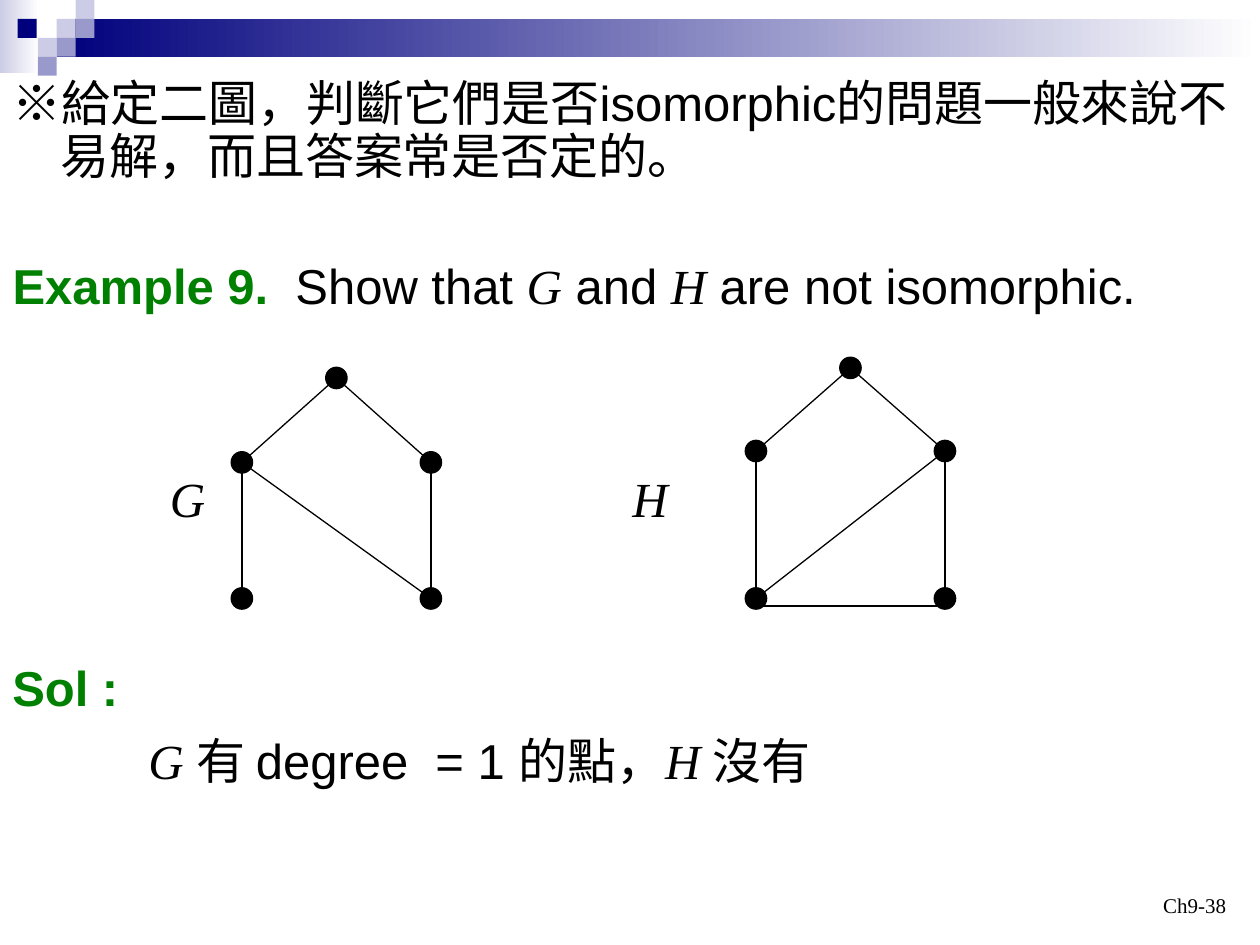
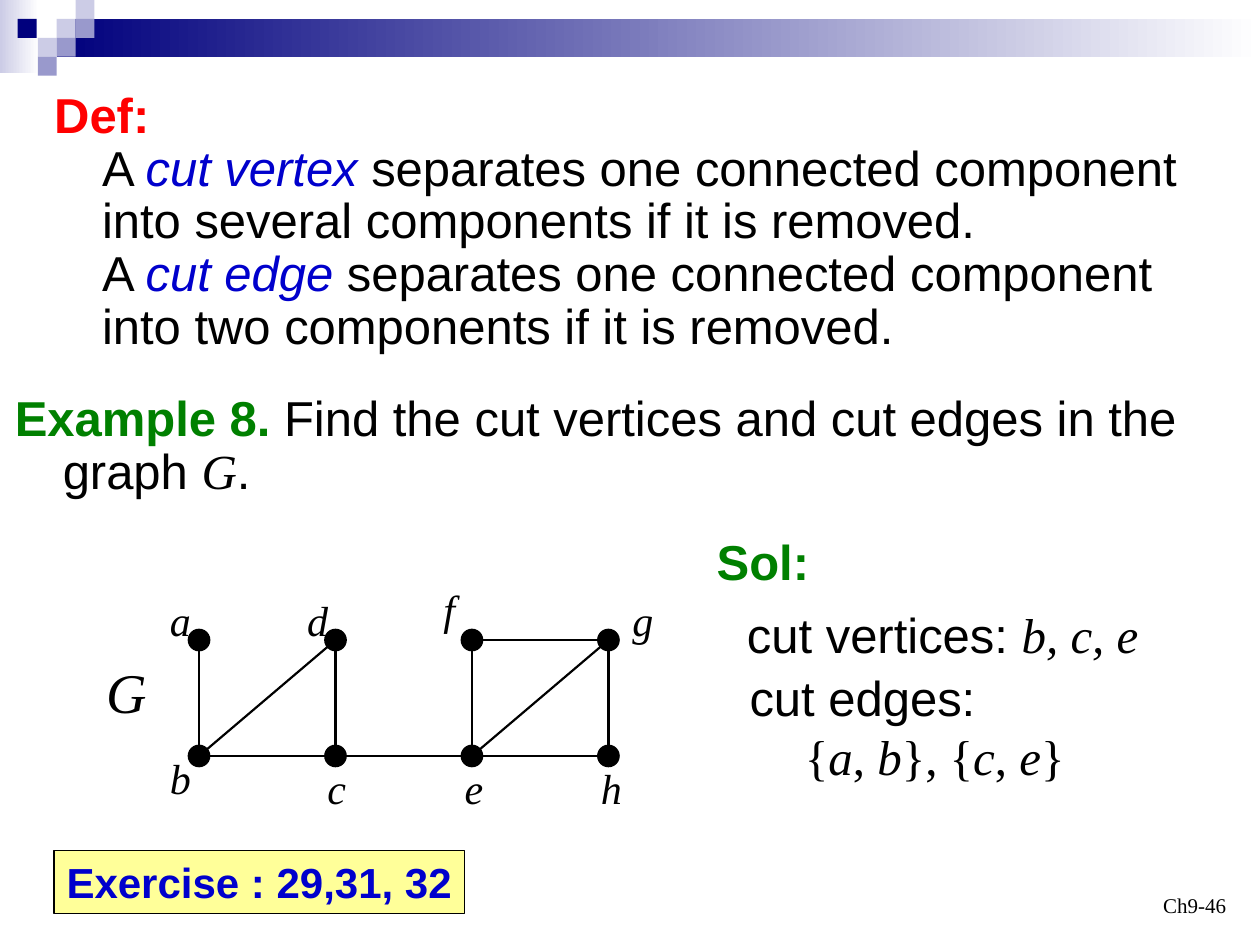
from typing import NamedTuple

from lxml import etree
from pptx import Presentation
from pptx.dml.color import RGBColor
from pptx.enum import shapes, text
from pptx.oxml import ns
from pptx.util import Inches, Pt

COLORS = {
    "black": "000000", "white": "FFFFFF", "navy": "00007D", "mist": "CCCCE6",
    "lilac": "9999CC", "green": "008000", "red": "FF0000", "blue": "0000CC",
    "yellow": "FFFF99",
}
SANS, SERIF = "Arial", "Times New Roman"
DOT = 0.17
TILE = 0.15
HANG = 0.38


class Span(NamedTuple):
    text: str
    color: str = "black"
    bold: bool = False
    italic: bool = False
    font: str = SANS
    size: float = 28


class Para(NamedTuple):
    spans: list[Span]
    margin: float = 0
    hanging: float = 0
    spacing: float = 1
    before: float = 0
    align: text.PP_ALIGN = text.PP_ALIGN.LEFT


class Vertex(NamedTuple):
    x: float
    y: float
    label_at: tuple[float, float] | None = None


class Edge(NamedTuple):
    start: str
    end: str
    drop: float = 0


class Tile(NamedTuple):
    x: float
    y: float
    color: str


TILES = [
    Tile(0.45, 0.15, "mist"), Tile(0.6, 0, "mist"), Tile(0.6, 0.15, "lilac"),
    Tile(0.3, 0.3, "mist"), Tile(0.14, 0.15, "navy"), Tile(0.45, 0.3, "lilac"),
    Tile(0.3, 0.45, "lilac"),
]
BREAK = Span("\n")


def rgb(name: str) -> RGBColor:
    return RGBColor.from_string(COLORS[name])


def math(symbols: str, size: float = 28) -> Span:
    """Italic serif text for graph and vertex names."""
    return Span(symbols, italic=True, font=SERIF, size=size)


def heading(words: str, color: str = "green") -> Span:
    return Span(words, color, bold=True)


def hanging(*spans: Span, before: float = 0) -> Para:
    return Para(list(spans), HANG, -HANG, 0.9, before)


def write(tf, paras: list[Para], wrap: bool = True) -> None:
    tf.word_wrap = wrap
    tf.auto_size = text.MSO_AUTO_SIZE.NONE
    for i, para in enumerate(paras):
        p = tf.add_paragraph() if i else tf.paragraphs[0]
        p.alignment = para.align
        p.line_spacing = para.spacing
        p.space_before = Pt(para.before)
        pPr = p._p.get_or_add_pPr()
        pPr.set("marL", str(Inches(para.margin)))
        pPr.set("indent", str(Inches(para.hanging)))
        etree.SubElement(pPr, ns.qn("a:buNone"))
        for span in para.spans:
            if span == BREAK:
                p.add_line_break()
                continue
            r = p.add_run()
            r.text = span.text
            r.font.name, r.font.size = span.font, Pt(span.size)
            r.font.bold, r.font.italic = span.bold, span.italic
            r.font.color.rgb = rgb(span.color)


def add_text(s, x: float, y: float, w: float, h: float, *paras: Para,
             wrap: bool = True):
    tf = s.shapes.add_textbox(Inches(x), Inches(y), Inches(w), Inches(h)).text_frame
    write(tf, list(paras), wrap)
    return tf


def add_shape(s, kind, x: float, y: float, w: float, h: float, fill: str,
              line: str | None = None):
    sp = s.shapes.add_shape(kind, Inches(x), Inches(y), Inches(w), Inches(h))
    sp.shadow.inherit = False
    sp.fill.solid()
    sp.fill.fore_color.rgb = rgb(fill)
    if line:
        sp.line.color.rgb = rgb(line)
        sp.line.width = Pt(0.75)
    else:
        sp.line.fill.background()
    return sp


def add_fade(s, x: float, y: float, w: float, h: float, color: str) -> None:
    """Rectangle that fades to white towards the right."""
    fill = add_shape(s, shapes.MSO_SHAPE.RECTANGLE, x, y, w, h, color).fill
    fill.gradient()
    fill.gradient_angle = 0
    for stop, name in zip(fill.gradient_stops, (color, "white")):
        stop.color.rgb = rgb(name)


def add_graph(s, vertices: dict[str, Vertex], edges: list[Edge],
              width: float) -> None:
    for edge in edges:
        a, b = vertices[edge.start], vertices[edge.end]
        line = s.shapes.add_connector(
            shapes.MSO_CONNECTOR.STRAIGHT, Inches(a.x), Inches(a.y + edge.drop),
            Inches(b.x), Inches(b.y + edge.drop))
        line.line.color.rgb = rgb("black")
        line.line.width = Pt(width)
        etree.SubElement(line._element.spPr, ns.qn("a:effectLst"))
    for name, v in vertices.items():
        add_shape(s, shapes.MSO_SHAPE.OVAL, v.x - DOT / 2, v.y - DOT / 2,
                  DOT, DOT, "black", "black")
        if v.label_at:
            add_text(s, *v.label_at, 0.36, 0.5, Para([math(name, 24)]), wrap=False)


def house(left: float, top: float, eaves: float) -> dict[str, Vertex]:
    """Five vertices: a roof top, two eaves and two floor corners."""
    right, floor = left + 1.5, 4.75
    return {
        "top": Vertex(left + 0.75, top),
        "left": Vertex(left, eaves), "right": Vertex(right, eaves),
        "floor left": Vertex(left, floor), "floor right": Vertex(right, floor),
    }


def add_slide(prs, number: str, x: float, y: float, w: float, h: float,
              *paras: Para):
    """Slide with the shared band, page number and a body list."""
    s = prs.slides.add_slide(prs.slide_layouts[1])
    title, body = s.placeholders
    title._element.getparent().remove(title._element)
    body.left, body.top = Inches(x), Inches(y)
    body.width, body.height = Inches(w), Inches(h)
    write(body.text_frame, list(paras))
    add_fade(s, 0, 0, 0.31, 0.58, "mist")
    add_fade(s, 0.45, 0.15, 9.55, 0.3, "navy")
    for tile in TILES:
        add_shape(s, shapes.MSO_SHAPE.RECTANGLE, tile.x, tile.y, TILE, TILE, tile.color)
    page = Para([Span(number, font=SERIF, size=12)], align=text.PP_ALIGN.RIGHT)
    tf = add_text(s, 7.5, 6.83, 2.33, 0.5, page)
    tf.vertical_anchor = text.MSO_ANCHOR.BOTTOM
    return s


def build_isomorphism(prs) -> None:
    s = add_slide(
        prs, "Ch9-38", 0, 0.58, 10, 2.08,
        hanging(Span("※給定二圖，判斷它們是否isomorphic的問題一般來說不易解，而且答案常是否定的。")),
        hanging(heading("Example 9."), Span("  Show that "), math("G"),
                Span(" and "), math("H"), Span(" are not isomorphic."), before=44))
    add_text(s, 0, 5.17, 1.04, 0.57, Para([heading("Sol :")]), wrap=False)
    add_text(s, 1.08, 5.75, 6.92, 0.57, Para([
        math("G "), Span("有 degree  = 1 的點，"), math("H "), Span("沒有")]))

    roof = [Edge("top", "left"), Edge("top", "right")]
    walls = [Edge("left", "floor left"), Edge("right", "floor right")]
    add_graph(s, house(1.92, 3, 3.67),
              roof + walls + [Edge("left", "floor right")], 0.75)
    add_graph(s, house(6, 2.92, 3.58),
              roof + walls + [Edge("right", "floor left"),
                              Edge("floor left", "floor right", drop=0.06)], 0.75)
    for name, x in (("G", 1.25), ("H", 4.92)):
        add_text(s, x, 3.67, 0.48, 0.57, Para([math(name)]), wrap=False)


def build_cuts(prs) -> None:
    s = add_slide(
        prs, "Ch9-46", 0.33, 0.67, 9.25, 2.25,
        hanging(heading("Def:", "red"), BREAK,
                Span("A "), Span("cut vertex", "blue", italic=True),
                Span(" separates one connected component into several "
                     "components if it is removed."), BREAK,
                Span("A "), Span("cut edge", "blue", italic=True),
                Span(" separates one connected component into two "
                     "components if it is removed.")))
    add_text(s, 0.02, 3.08, 9.9, 0.94, hanging(
        heading("Example 8. "), Span("Find the cut vertices and cut edges in the"),
        BREAK, Span("graph "), math("G"), Span(".")))

    columns = [1.58 + 1.083 * i for i in range(4)]
    upper, lower = 5.08, 6
    vertices = {
        "a": Vertex(columns[0], upper, (1.25, 4.67)),
        "b": Vertex(columns[0], lower, (1.25, 5.92)),
        "c": Vertex(columns[1], lower, (2.5, 6)),
        "d": Vertex(columns[1], upper, (2.34, 4.67)),
        "e": Vertex(columns[2], lower, (3.59, 6)),
        "f": Vertex(columns[2], upper, (3.42, 4.58)),
        "g": Vertex(columns[3], upper, (4.92, 4.67)),
        "h": Vertex(columns[3], lower, (4.67, 6)),
    }
    pairs = "ab bc ce eh dc bd fe eg fg gh".split()
    add_graph(s, vertices, [Edge(*pair) for pair in pairs], 1.25)
    add_text(s, 0.75, 5.17, 0.52, 0.64, Para([math("G", 32)]), wrap=False)

    add_text(s, 5.59, 4.17, 0.93, 0.57, Para([heading("Sol:")]), wrap=False)
    add_text(s, 5.83, 4.75, 3.58, 0.57,
             Para([Span("cut vertices: "), math("b, c, e")]))
    edge_list = [math(c) if c.isalpha() else Span(c, font=SERIF)
                 for c in ("{", "a", ", ", "b", "}, {", "c", ", ", "e", "}")]
    add_text(s, 5.85, 5.25, 2.79, 1.04,
             Para([Span("cut edges:")]), Para(edge_list, margin=0.44))

    sp = add_shape(s, shapes.MSO_SHAPE.RECTANGLE, 0.43, 6.75, 3.26, 0.5,
                   "yellow", "black")
    write(sp.text_frame, [Para([
        Span("Exercise : 29,31, 32", "blue", bold=True, size=24)])], wrap=False)


def main() -> None:
    prs = Presentation()
    prs.slide_width, prs.slide_height = Inches(10), Inches(7.5)
    build_isomorphism(prs)
    build_cuts(prs)
    prs.save("out.pptx")


if __name__ == "__main__":
    main()
